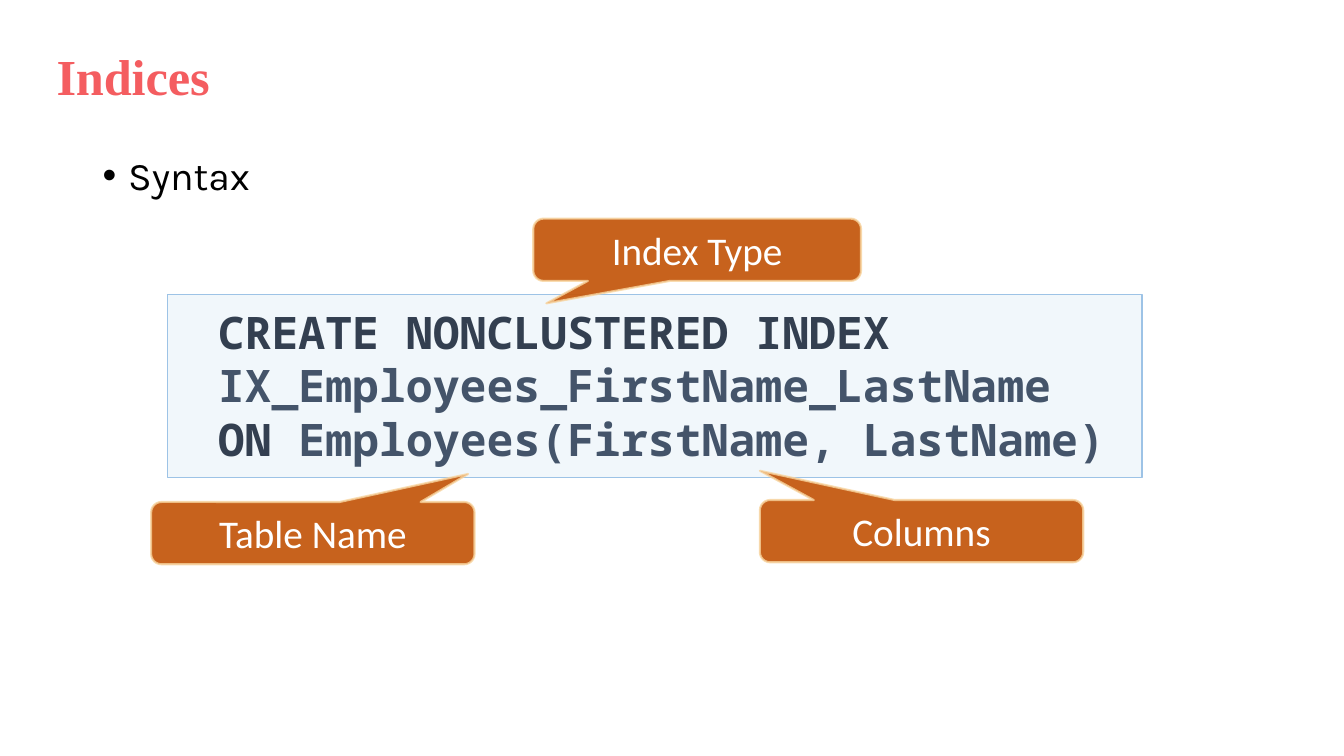
from dataclasses import dataclass

from lxml import etree
from pptx import Presentation
from pptx.dml.color import RGBColor
from pptx.enum.shapes import MSO_SHAPE
from pptx.enum.text import MSO_ANCHOR, MSO_AUTO_SIZE, PP_ALIGN
from pptx.oxml.ns import qn
from pptx.util import Cm, Pt

RECTANGLE = MSO_SHAPE.RECTANGLE
CALLOUT = MSO_SHAPE.ROUNDED_RECTANGULAR_CALLOUT
TOP, MIDDLE = MSO_ANCHOR.TOP, MSO_ANCHOR.MIDDLE
LEFT, CENTER = PP_ALIGN.LEFT, PP_ALIGN.CENTER
NO_AUTOFIT = MSO_AUTO_SIZE.NONE


@dataclass(frozen=True)
class Theme:
    title: str = "F45D60"
    body: str = "000000"
    keyword: str = "333F50"
    identifier: str = "44546A"
    code_fill: str = "BDD7EE"
    code_line: str = "9DC3E6"
    callout_fill: str = "C55A11"
    callout_line: str = "F8D49E"
    callout_text: str = "FFFFFF"
    title_size: int = 36
    code_size: int = 32
    text_size: int = 28


theme = Theme()


def paint(paint_format, color, opacity):
    """Apply a solid colour with an opacity in percent to a fill."""
    paint_format.solid()
    paint_format.fore_color.rgb = RGBColor.from_string(color)
    for rgb in paint_format._xPr.iter(qn("a:srgbClr")):
        etree.SubElement(rgb, qn("a:alpha"), val=str(opacity * 1000))


def add_run(paragraph, text, font_name, size, color, bold=False):
    run = paragraph.add_run()
    run.text = text
    style = {"name": font_name, "size": Pt(size), "bold": bold}
    for attribute, value in style.items():
        setattr(run.font, attribute, value)
    run.font.color.rgb = RGBColor.from_string(color)
    return run


prs = Presentation()
prs.slide_width, prs.slide_height = Cm(33.87), Cm(19.05)
slide = prs.slides.add_slide(prs.slide_layouts[5])

# Title
heading = slide.shapes.title
heading.left, heading.top, heading.width, heading.height = Cm(1.17), Cm(1.02), Cm(16.97), Cm(1.8)
heading.text_frame.auto_size = NO_AUTOFIT
heading.text_frame.vertical_anchor = TOP
heading_line = heading.text_frame.paragraphs[0]
heading_line.alignment = LEFT
heading_run = add_run(heading_line, "Indices", "Times New Roman", theme.title_size, theme.title, True)
heading_run.font._element.set("spc", "-10")

# Code panel
code = slide.shapes.add_shape(RECTANGLE, Cm(4.22), Cm(7.42), Cm(24.56), Cm(4.62))
code.shadow.inherit = False
paint(code.fill, theme.code_fill, 20)
code.line.color.rgb = RGBColor.from_string(theme.code_line)
code.line.width = Pt(1)
code_frame = code.text_frame
code_frame.word_wrap = True
code_frame.vertical_anchor = TOP
code_frame.margin_left = code_frame.margin_right = 0
code_frame.margin_top = code_frame.margin_bottom = Cm(0.25)
statement = [
    ("CREATE NONCLUSTERED INDEX", " IX_Employees_FirstName_LastName"),
    ("ON", " Employees(FirstName, LastName)"),
]
for row, (keyword, identifier) in enumerate(statement):
    code_line = code_frame.add_paragraph() if row else code_frame.paragraphs[0]
    code_line.alignment = LEFT
    code_line._p.get_or_add_pPr().set("marL", str(Cm(1.27)))
    for text, color in ((keyword, theme.keyword), (identifier, theme.identifier)):
        add_run(code_line, text, "Noto Sans Mono", theme.code_size, color, True)

# Callouts: label, left, top, width, pointer tip relative to the centre
callouts = [
    ("Table Name", 3.81, 12.65, 8.15, (0.48, -0.95)),
    ("Columns", 19.15, 12.6, 8.15, (-0.5, -0.97)),
    ("Index Type", 13.44, 5.51, 8.26, (-0.46, 0.86)),
]
for label, left, top, width, tip in callouts:
    callout = slide.shapes.add_shape(CALLOUT, Cm(left), Cm(top), Cm(width), Cm(1.57))
    callout.adjustments[0], callout.adjustments[1] = tip
    callout.shadow.inherit = False
    paint(callout.fill, theme.callout_fill, 95)
    paint(callout.line.fill, theme.callout_line, 80)
    callout.line.width = Pt(1.5)
    callout.text_frame.word_wrap = True
    callout.text_frame.vertical_anchor = MIDDLE
    label_line = callout.text_frame.paragraphs[0]
    label_line.alignment = CENTER
    add_run(label_line, label, "Calibri", theme.text_size, theme.callout_text)

# Bullet
topic = slide.shapes.add_textbox(Cm(2.34), Cm(3.81), Cm(29.21), Cm(12.09))
topic.text_frame.word_wrap = True
topic_line = topic.text_frame.paragraphs[0]
topic_line.line_spacing = 0.9
topic_line.space_before = Pt(10)
topic_format = topic_line._p.get_or_add_pPr()
topic_format.set("marL", str(Cm(0.64)))
topic_format.set("indent", str(-Cm(0.64)))
etree.SubElement(topic_format, qn("a:buFont"), typeface="Arial")
etree.SubElement(topic_format, qn("a:buChar"), char="•")
add_run(topic_line, "Syntax", "Karla", theme.text_size, theme.body)

prs.save("out.pptx")
